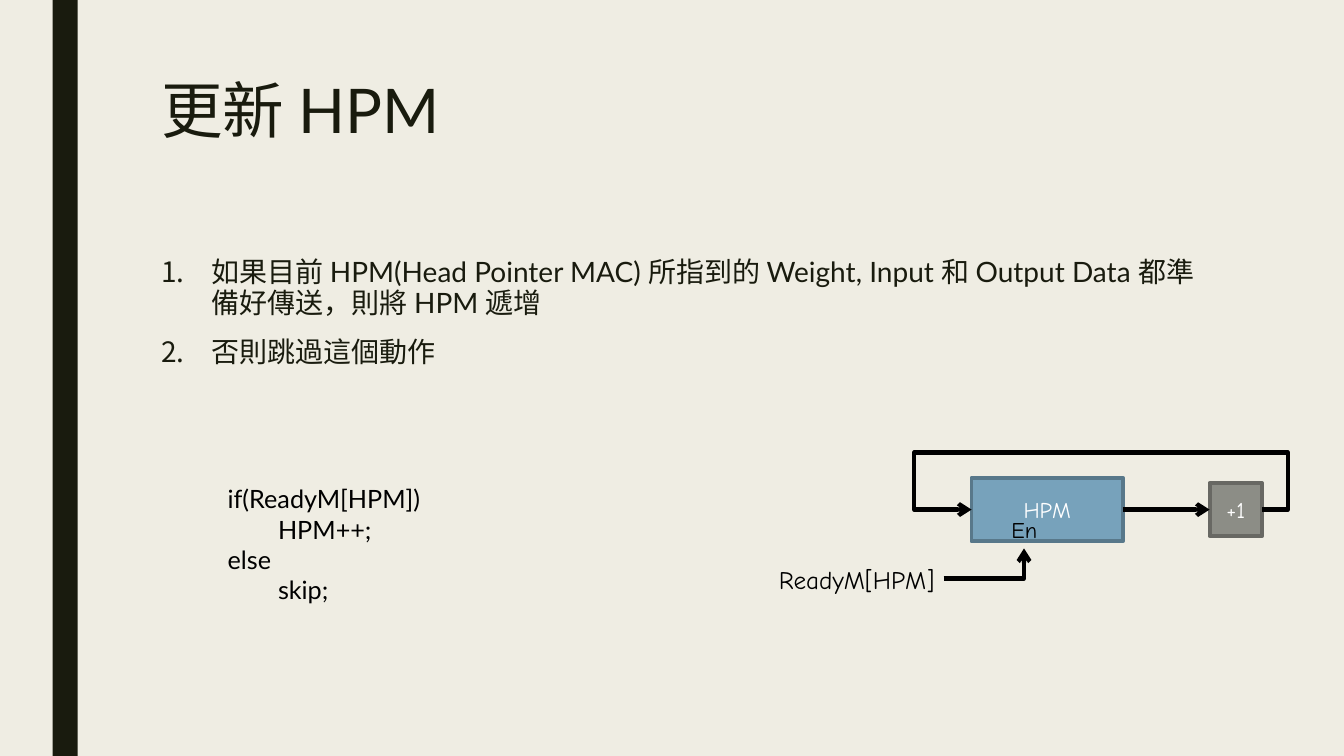
import pptx
import pptx.util
import pptx.dml.color
import pptx.enum.shapes
import pptx.enum.text
import pptx.oxml.ns
from lxml import etree

Pt = pptx.util.Pt
qn = pptx.oxml.ns.qn
PP_ALIGN = pptx.enum.text.PP_ALIGN
ANCHOR = pptx.enum.text.MSO_ANCHOR
RECT = pptx.enum.shapes.MSO_SHAPE.RECTANGLE
STRAIGHT = pptx.enum.shapes.MSO_CONNECTOR.STRAIGHT
INK, BLACK, WHITE = "191B0E", "000000", "FFFFFF"
BODY_FONT, DIAGRAM_FONT = "Lato", "Comic Neue"


def rgb(value):
    """Turn a hex string into a colour."""
    return pptx.dml.color.RGBColor.from_string(value)


def add_run(p, text, size, font, color):
    """Add one formatted run to a paragraph."""
    r = p.add_run()
    r.text = text
    r.font.size = Pt(size)
    r.font.name = font
    r.font.color.rgb = rgb(color)


def add_text(s, x, y, w, h, wrap=True):
    """Add an empty text box and return its text frame."""
    tf = s.shapes.add_textbox(Pt(x), Pt(y), Pt(w), Pt(h)).text_frame
    tf.word_wrap = wrap
    return tf


def add_block(s, x, y, w, h, fill, line=None, label=None):
    """Add a filled rectangle with an optional border and label."""
    sp = s.shapes.add_shape(RECT, Pt(x), Pt(y), Pt(w), Pt(h))
    sp.shadow.inherit = False
    sp.fill.solid()
    sp.fill.fore_color.rgb = rgb(fill)
    if line:
        sp.line.color.rgb = rgb(line)
        sp.line.width = Pt(2.75)
    else:
        sp.line.fill.background()
    if label:
        sp.text_frame.vertical_anchor = ANCHOR.MIDDLE
        p = sp.text_frame.paragraphs[0]
        p.alignment = PP_ALIGN.CENTER
        add_run(p, label, 16, DIAGRAM_FONT, WHITE)
    return sp


def style_arrow(sp):
    """Give a line its black stroke and an open arrowhead at its end."""
    sp.line.color.rgb = rgb(BLACK)
    sp.line.width = Pt(3)
    etree.SubElement(sp.line._get_or_add_ln(), qn("a:tailEnd"), type="arrow")


def add_route(s, points):
    """Draw an arrow with right-angled bends through the points."""
    (x, y), *rest = [(Pt(px), Pt(py)) for px, py in points]
    builder = s.shapes.build_freeform(x, y)
    builder.add_line_segments(rest, close=False)
    sp = builder.convert_to_shape()
    sp.shadow.inherit = False
    sp.fill.background()
    style_arrow(sp)


def add_title(s, x, y, w, h, text):
    """Place and format the title placeholder."""
    sp = s.shapes.title
    sp.left, sp.top, sp.width, sp.height = Pt(x), Pt(y), Pt(w), Pt(h)
    tf = sp.text_frame
    tf.vertical_anchor = ANCHOR.TOP
    p = tf.paragraphs[0]
    p.alignment = PP_ALIGN.LEFT
    p.line_spacing = 0.89
    add_run(p, text, 44, BODY_FONT, INK)


def add_steps(s, x, y, w, h, steps):
    """Write the numbered steps."""
    tf = add_text(s, x, y, w, h)
    for i, step in enumerate(steps):
        p = tf.add_paragraph() if i else tf.paragraphs[0]
        pPr = p._p.get_or_add_pPr()
        pPr.set("marL", str(Pt(36)))
        pPr.set("indent", str(Pt(-36)))
        etree.SubElement(pPr, qn("a:buFont"), typeface="+mj-lt")
        etree.SubElement(pPr, qn("a:buAutoNum"), type="arabicPeriod")
        p.line_spacing = 0.94
        p.space_before = Pt(10 if i else 0)
        p.space_after = Pt(2)
        add_run(p, step, 20, BODY_FONT, INK)


def add_code(s, x, y, w, h, lines):
    """Write code lines, each given with its indent level."""
    tf = add_text(s, x, y, w, h)
    for i, (level, line) in enumerate(lines):
        p = tf.add_paragraph() if i else tf.paragraphs[0]
        pPr = p._p.get_or_add_pPr()
        pPr.set("marL", str(Pt(42 + 36 * level)))
        pPr.set("indent", "0")
        add_run(p, line, 18, BODY_FONT, BLACK)


def add_counter(s, x, y, w, h):
    """Draw the HPM register, its incrementer and the enable signal."""
    mid, right, bottom = y + 40.75, x + w, y + h
    hpm_x, loop_x, en_x, en_y = x + 221, x + 180, x + 258.5, bottom - 15
    hpm = add_block(s, hpm_x, mid - 22.75, 108, 45.5, "77A2BB", "58788A", "HPM")
    plus = add_block(s, right - 56, mid - 19, 37.5, 38, "8C8D86", "686863", "+1")
    add_route(s, [(right - 18.5, mid), (right, mid), (right, y),
                  (loop_x, y), (loop_x, mid), (hpm_x, mid)])
    link = s.shapes.add_connector(STRAIGHT, 0, 0, 0, 0)
    link.begin_connect(hpm, 3)
    link.end_connect(plus, 1)
    style_arrow(link)
    etree.SubElement(link._element.spPr, qn("a:effectLst"))
    add_route(s, [(x + 201, en_y), (en_x, en_y), (en_x, bottom - 36.5)])
    labels = [("En", 16, x + 242, mid + 1, 33, 26.5, False),
              ("ReadyM[HPM]", 18, x, bottom - 29, 201.5, 29, True)]
    for text, size, lx, ly, lw, lh, wrap in labels:
        p = add_text(s, lx, ly, lw, lh, wrap).paragraphs[0]
        p.alignment = PP_ALIGN.RIGHT
        add_run(p, text, size, DIAGRAM_FONT, BLACK)


def main():
    """Build and save the slide."""
    prs = pptx.Presentation()
    prs.slide_width, prs.slide_height = Pt(960), Pt(540)
    s = prs.slides.add_slide(prs.slide_layouts[5])
    s.background.fill.solid()
    s.background.fill.fore_color.rgb = rgb("EFEDE3")
    add_block(s, 37.5, 0, 18, 540, INK)
    add_title(s, 108, 54, 756, 117, "更新 HPM")
    add_steps(s, 108, 180, 756, 282, [
        "如果目前 HPM(Head Pointer MAC) 所指到的 Weight, Input 和 Output Data "
        "都準備好傳送，則將 HPM 遞增",
        "否則跳過這個動作"])
    add_code(s, 113.5, 342, 718.5, 94.5, [
        (0, "if(ReadyM[HPM])"), (1, "HPM++;"), (0, "else"), (1, "skip;")])
    add_counter(s, 473, 323.25, 447, 105)
    prs.save("out.pptx")


if __name__ == "__main__":
    main()
